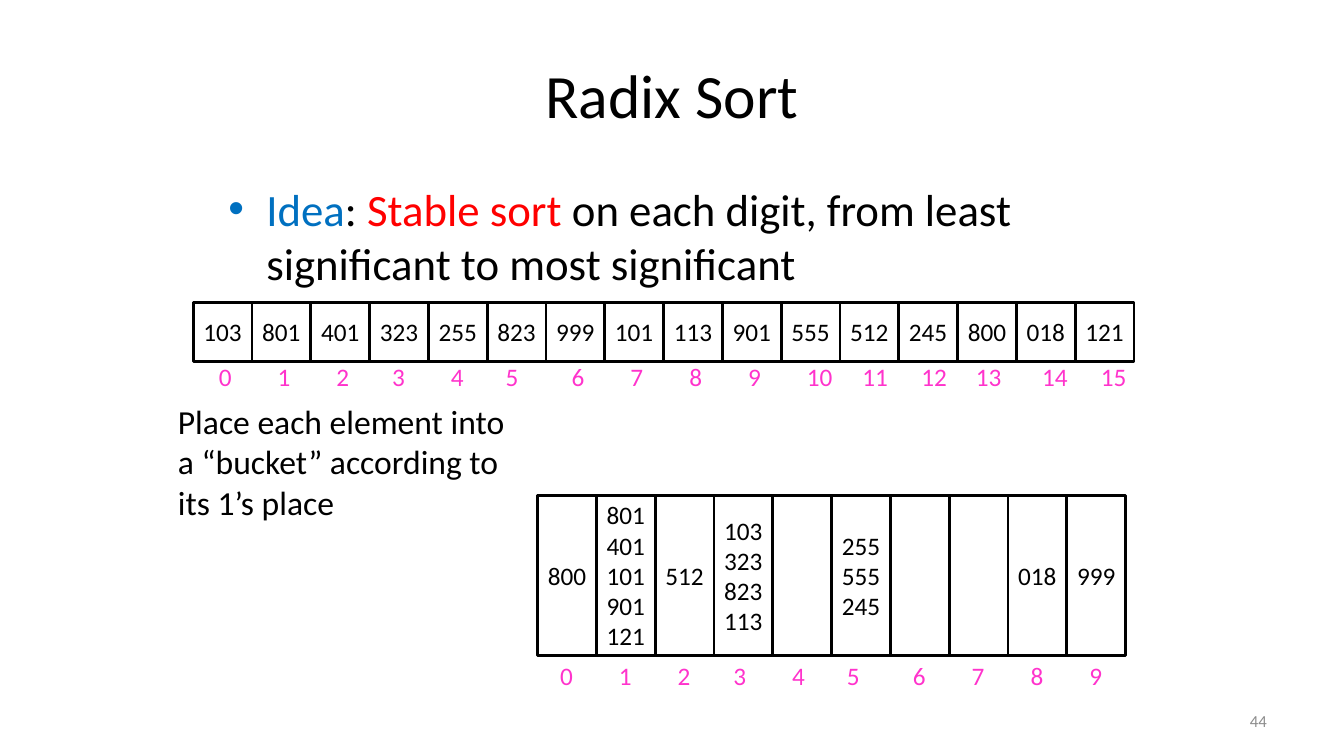
from itertools import cycle

from pptx import Presentation
from pptx.dml.color import RGBColor
from pptx.enum.shapes import MSO_SHAPE
from pptx.enum.text import MSO_ANCHOR, PP_ALIGN
from pptx.util import Emu, Pt

CELL = 56
BLACK, WHITE, PINK = "000000", "FFFFFF", "FF33CC"
ITEMS = "103 801 401 323 255 823 999 101 113 901 555 512 245 800 018 121".split()
NUDGES = (15, 15, 15, 12, 12, 8, 15, 15)


def px(n):
    return Emu(n * 9525)


def color(code):
    return RGBColor.from_string(code)


def put(obj, vals):
    """Set each named attribute of obj."""
    for name, val in vals.items():
        setattr(obj, name, val)


def place(shape, left, top, width, height):
    put(shape, {"left": px(left), "top": px(top),
                "width": px(width), "height": px(height)})


def style(font, size, code):
    put(font, {"name": "Calibri", "size": Pt(size)})
    font.color.rgb = color(code)


def write(frame, text, size, code, align=PP_ALIGN.LEFT):
    """Fill the frame, one paragraph per line of text."""
    frame.text = text
    for para in frame.paragraphs:
        para.alignment = align
        for run in para.runs:
            style(run.font, size, code)


def note(slide, box, text, size, code, align=PP_ALIGN.LEFT, **form):
    frame = slide.shapes.add_textbox(*map(px, box)).text_frame
    put(frame, {"word_wrap": True, **form})
    write(frame, text, size, code, align)


def cell(slide, box, text):
    shape = slide.shapes.add_shape(MSO_SHAPE.RECTANGLE, *map(px, box))
    shape.shadow.inherit = False
    shape.fill.solid()
    shape.fill.fore_color.rgb = color(WHITE)
    shape.line.color.rgb = color(BLACK)
    shape.line.width = Pt(2)
    frame = shape.text_frame
    put(frame, {"word_wrap": False, "vertical_anchor": MSO_ANCHOR.MIDDLE,
                "margin_left": 0, "margin_right": 0,
                "margin_top": 0, "margin_bottom": 0})
    write(frame, text, 18, BLACK, PP_ALIGN.CENTER)


def array(slide, left, top, height, texts, base, shift=0):
    """Draw a row of cells with their indices at height base."""
    for i, (text, nudge) in enumerate(zip(texts, cycle(NUDGES))):
        x = left + i * CELL
        cell(slide, (x, top, CELL, height), text)
        width = 32 if i < 10 else 44
        note(slide, (x + nudge - shift, base, width, 38), str(i), 18, PINK,
             word_wrap=False)


def idea(body):
    place(body, 208, 168, 864, 120)
    para = body.text_frame.paragraphs[0]
    for text, code in (("Idea", "0070C0"), (": ", BLACK),
                       ("Stable sort ", "FF0000"),
                       ("on each digit, from least significant"
                        " to most significant", BLACK)):
        run = para.add_run()
        run.text = text
        style(run.font, 32, code)


def main():
    deck = Presentation()
    put(deck, {"slide_width": px(1280), "slide_height": px(720)})
    slide = deck.slides.add_slide(deck.slide_layouts[1])
    title, body = slide.placeholders
    place(title, 64, 29, 1152, 120)
    write(title.text_frame, "Radix Sort", 44, BLACK, PP_ALIGN.CENTER)
    idea(body)

    array(slide, 184, 288, CELL, ITEMS, 339)
    note(slide, (160, 377, 334, 126),
         "Place each element into a “bucket” according to its 1’s place",
         24, BLACK)
    piles = ["\n".join(n for n in ITEMS if n[-1] == str(d)) for d in range(10)]
    array(slide, 512, 472, 152, piles, 624, 3)
    note(slide, (918, 667, 298, 38), "44", 12, "8C8C8C", PP_ALIGN.RIGHT,
         vertical_anchor=MSO_ANCHOR.MIDDLE)
    deck.save("out.pptx")


if __name__ == "__main__":
    main()
